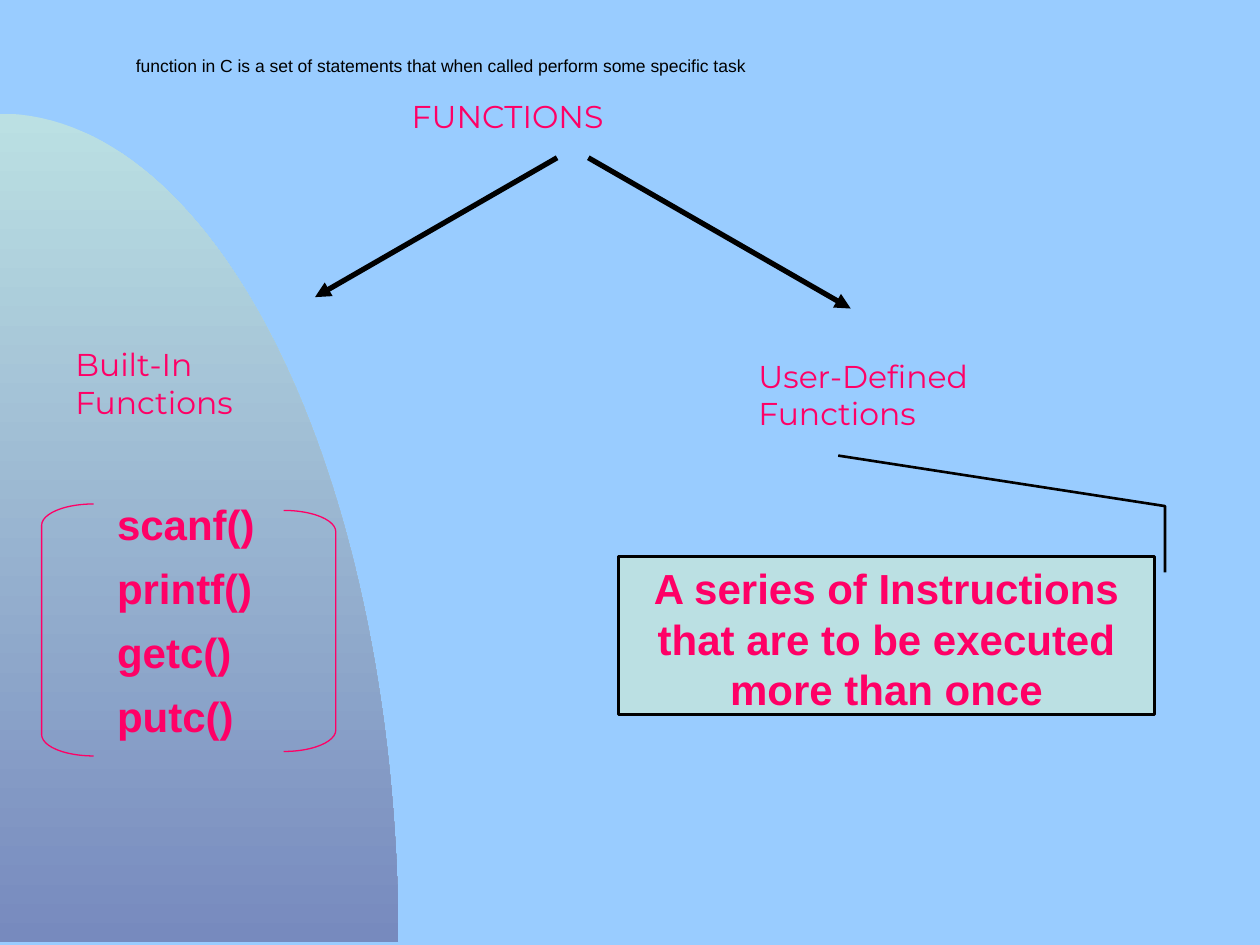
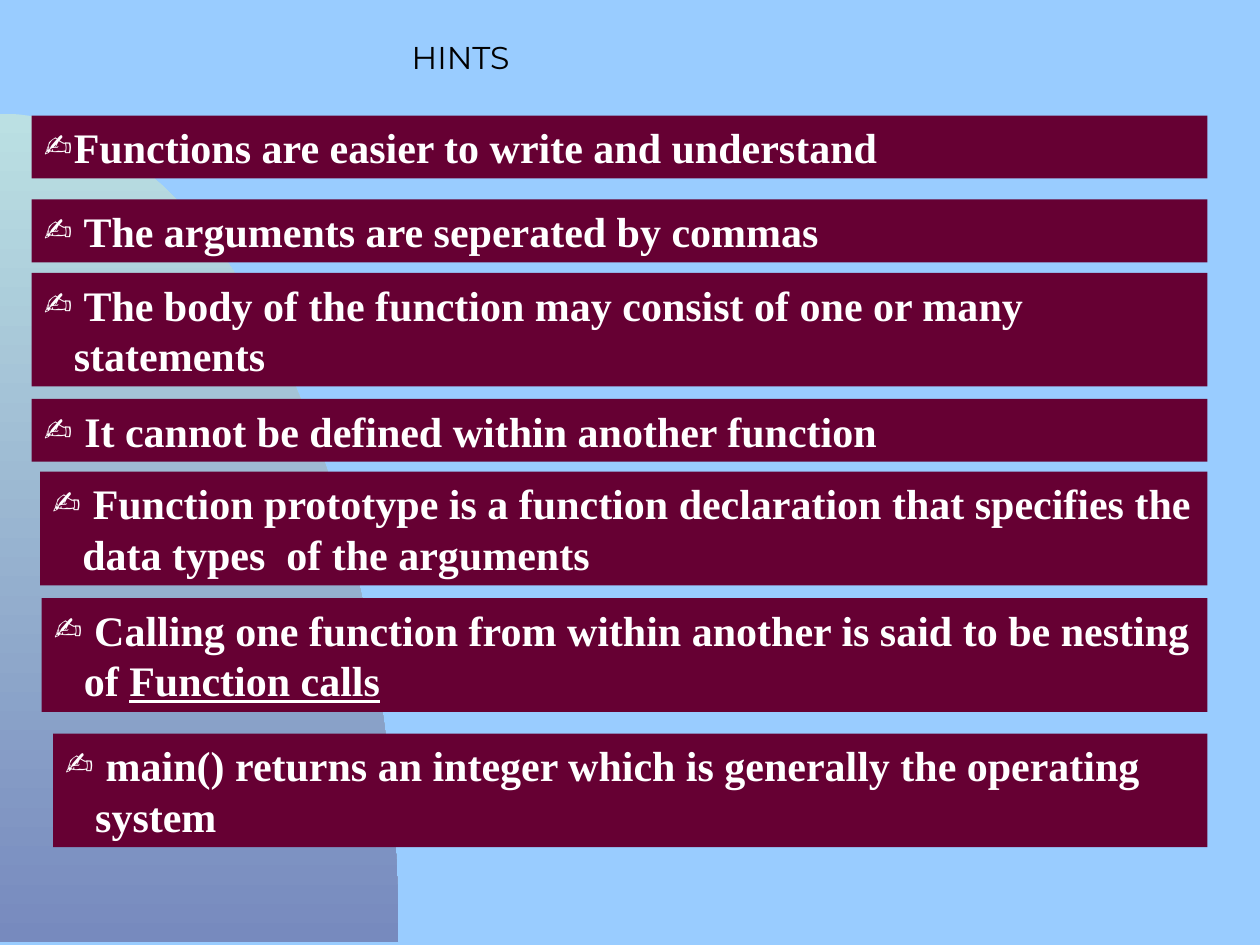
from math import cos, pi, sin

from lxml import etree
from pptx import Presentation
from pptx.dml.color import RGBColor
from pptx.enum.shapes import MSO_CONNECTOR, MSO_SHAPE
from pptx.enum.text import MSO_ANCHOR, PP_ALIGN
from pptx.oxml.ns import qn
from pptx.util import Cm, Pt

RECTANGLE = MSO_SHAPE.RECTANGLE
CALLOUT = MSO_SHAPE.LINE_CALLOUT_2
LEFT_BRACKET = MSO_SHAPE.LEFT_BRACKET
RIGHT_BRACKET = MSO_SHAPE.RIGHT_BRACKET
STRAIGHT = MSO_CONNECTOR.STRAIGHT
TOP, MIDDLE = MSO_ANCHOR.TOP, MSO_ANCHOR.MIDDLE
LEFT, CENTER = PP_ALIGN.LEFT, PP_ALIGN.CENTER

COLORS = {
    "sky": "99CCFF",
    "mint": "BBE0E3",
    "dusk": "778ABE",
    "pink": "FF0066",
    "wine": "660033",
    "black": "000000",
    "white": "FFFFFF",
}

HEADING = {"name": "Montserrat", "size": Pt(18)}
STRONG = {"name": "Arial", "size": Pt(24), "bold": True}
CAPTION = {"name": "Arial", "size": Pt(10)}
HINT = {"name": "Times New Roman", "size": Pt(24), "bold": True}

HINT_RIGHT = 24.34
HINT_INDENT = Cm(0.6)
# left, top, number of lines, text, underlined ending
HINTS = [
    (0.64, 2.33, 1, "Functions are easier to write and understand", ""),
    (0.64, 4.02, 1, " The arguments are seperated by commas", ""),
    (0.64, 5.5, 2, " The body of the function may consist of one or many statements", ""),
    (0.64, 8.04, 1, " It cannot be defined within another function", ""),
    (0.81, 9.51, 2, " Function prototype is a function declaration that specifies "
                    "the data types  of the arguments", ""),
    (0.84, 12.06, 2, " Calling one function from within another is said to be nesting of ",
     "Function calls"),
    (1.07, 14.79, 2, " main() returns an integer which is generally the operating system", ""),
]


def rgb(color):
    return RGBColor.from_string(COLORS[color])


def set_values(target, values):
    for name, value in values.items():
        setattr(target, name, value)


def paint(shape, fill=None, line=None, width=0.75):
    shape.shadow.inherit = False
    if fill:
        shape.fill.solid()
        shape.fill.fore_color.rgb = rgb(fill)
    else:
        shape.fill.background()
    if line:
        shape.line.color.rgb = rgb(line)
        shape.line.width = Pt(width)
    else:
        shape.line.fill.background()


def add_span(para, text, font, color):
    span = para.add_run()
    span.text = text
    set_values(span.font, font)
    span.font.color.rgb = rgb(color)


def write(shape, lines, font, color, anchor=TOP, wrap=True, **para_format):
    """Put one paragraph per line into the shape and return the last one."""
    frame = shape.text_frame
    set_values(frame, {"word_wrap": wrap, "vertical_anchor": anchor})
    for number, line in enumerate(lines):
        para = frame.add_paragraph() if number else frame.paragraphs[0]
        set_values(para, {"alignment": LEFT, **para_format})
        add_span(para, line, font, color)
    return para


def add_text(page, place, lines, font, color, **options):
    box = page.shapes.add_textbox(*map(Cm, place))
    write(box, lines, font, color, **options)


def add_heading(page, place, lines, color):
    add_text(page, place, lines, HEADING, color, anchor=MIDDLE, wrap=False)


def add_preset(page, kind, place, adjustments=(), **style):
    shape = page.shapes.add_shape(kind, *map(Cm, place))
    for number, value in enumerate(adjustments):
        shape.adjustments[number] = value
    paint(shape, **style)
    return shape


def add_arrow(page, start, end):
    arrow = page.shapes.add_connector(STRAIGHT, *map(Cm, start + end))
    arrow.line.color.rgb = rgb("black")
    arrow.line.width = Pt(3)
    etree.SubElement(arrow.line._get_or_add_ln(), qn("a:tailEnd"), type="triangle")
    etree.SubElement(arrow._element.spPr, qn("a:effectLst"))


def add_hill(page, width=8.03, top=2.29, bottom=19, steps=60):
    """Draw the quarter ellipse that rises from the lower left corner."""
    angles = [pi / 2 * step / steps for step in range(steps + 1)]
    rim = [(Cm(width * sin(angle)), Cm(bottom - (bottom - top) * cos(angle)))
           for angle in angles]
    builder = page.shapes.build_freeform(*rim[0])
    builder.add_line_segments(rim[1:] + [(0, Cm(bottom))], close=True)
    hill = builder.convert_to_shape()
    paint(hill)
    hill.fill.gradient()
    hill.fill.gradient_angle = 270
    for stop, color in zip(hill.fill.gradient_stops, ("mint", "dusk")):
        stop.color.rgb = rgb(color)


def add_bullet(para, symbol, color):
    properties = para._p.get_or_add_pPr()
    properties.set("marL", str(HINT_INDENT))
    properties.set("indent", str(-HINT_INDENT))
    bullet_color = etree.SubElement(properties, qn("a:buClr"))
    etree.SubElement(bullet_color, qn("a:srgbClr"), val=COLORS[color])
    etree.SubElement(properties, qn("a:buChar"), char=symbol)


def add_hint(page, left, top, line_count, text, underlined):
    height = 0.25 + 1.02 * line_count
    bar = add_preset(page, RECTANGLE, (left, top, HINT_RIGHT - left, height), fill="wine")
    para = write(bar, [text], HINT, "white")
    add_bullet(para, "✍", "white")
    if underlined:
        add_span(para, underlined, {**HINT, "underline": True}, "white")


def add_page(deck):
    page = deck.slides.add_slide(deck.slide_layouts[6])
    add_hill(page)
    return page


def build_functions(deck):
    page = add_page(deck)
    add_heading(page, (8.05, 1.7, 8.41, 1.27), ["FUNCTIONS"], "pink")
    add_heading(page, (1.27, 6.55, 8.41, 2.34), ["Built-In", "Functions"], "pink")
    add_heading(page, (15.04, 6.78, 8.41, 2.34), ["User-Defined", "Functions"], "pink")
    add_arrow(page, (11.23, 3.18), (6.35, 5.99))
    add_arrow(page, (11.86, 3.18), (17.15, 6.22))

    add_preset(page, LEFT_BRACKET, (0.84, 10.16, 1.05, 5.08), [0.41], line="pink")
    add_preset(page, RIGHT_BRACKET, (5.72, 10.29, 1.05, 4.86), [0.41], line="pink")
    add_text(page, (2.11, 10.16, 7.19, 4.93), ["scanf()", "printf()", "getc()", "putc()"],
             STRONG, "pink", line_spacing=0.75, space_before=Pt(15))

    callout = add_preset(page, CALLOUT, (12.47, 11.22, 10.8, 3.18),
                         [0.1, 1.02, -0.32, 1.02, -0.64, 0.41],
                         fill="mint", line="black", width=1.5)
    write(callout, ["A series of Instructions that are to be executed more than once"],
          STRONG, "pink", alignment=CENTER)
    add_text(page, (2.49, 0.99, 12.88, 0.69),
             ["function in C is a set of statements that when called perform some specific task"],
             CAPTION, "black", wrap=False, space_before=Pt(12), space_after=Pt(10))


def build_hints(deck):
    page = add_page(deck)
    add_heading(page, (8.05, 0.51, 7.19, 1.27), ["HINTS"], "black")
    for hint in HINTS:
        add_hint(page, *hint)


def main():
    deck = Presentation()
    deck.slide_width, deck.slide_height = Cm(25.4), Cm(19.05)
    backdrop = deck.slide_master.background.fill
    backdrop.solid()
    backdrop.fore_color.rgb = rgb("sky")
    build_functions(deck)
    build_hints(deck)
    deck.save("out.pptx")


if __name__ == "__main__":
    main()
